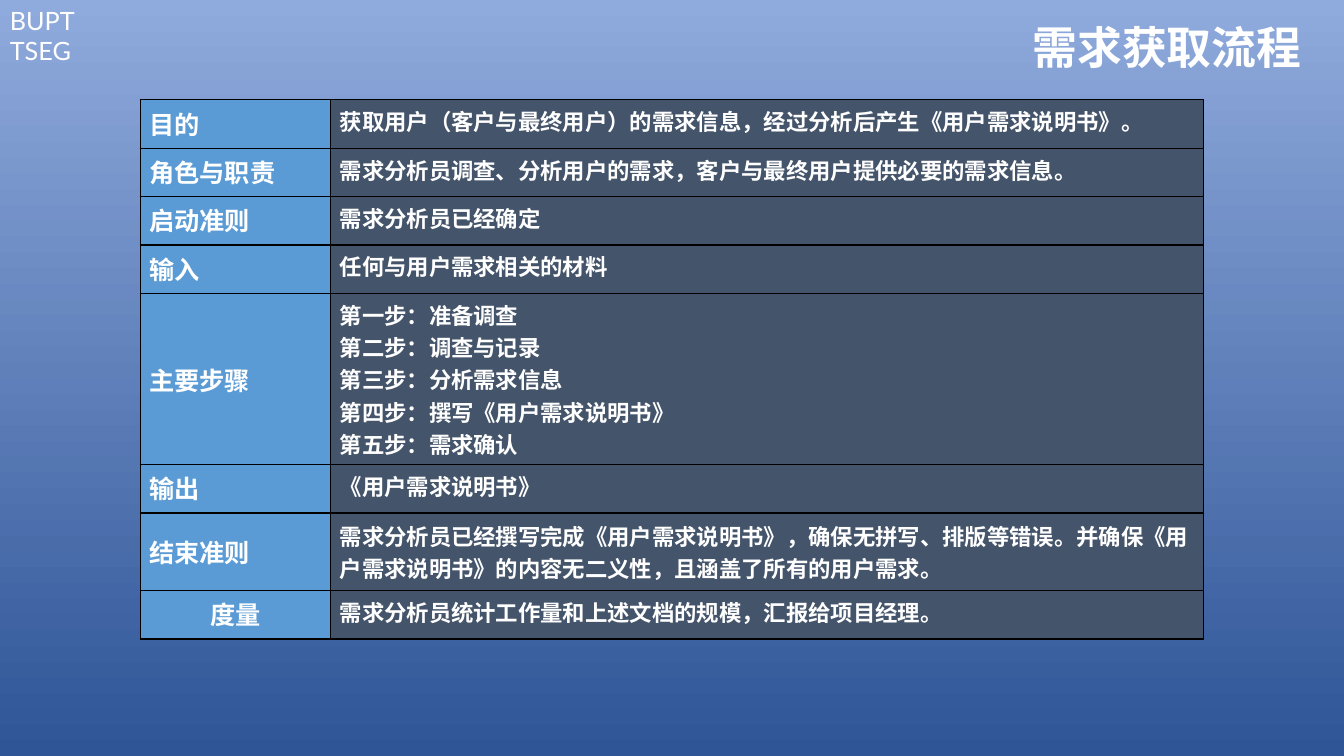
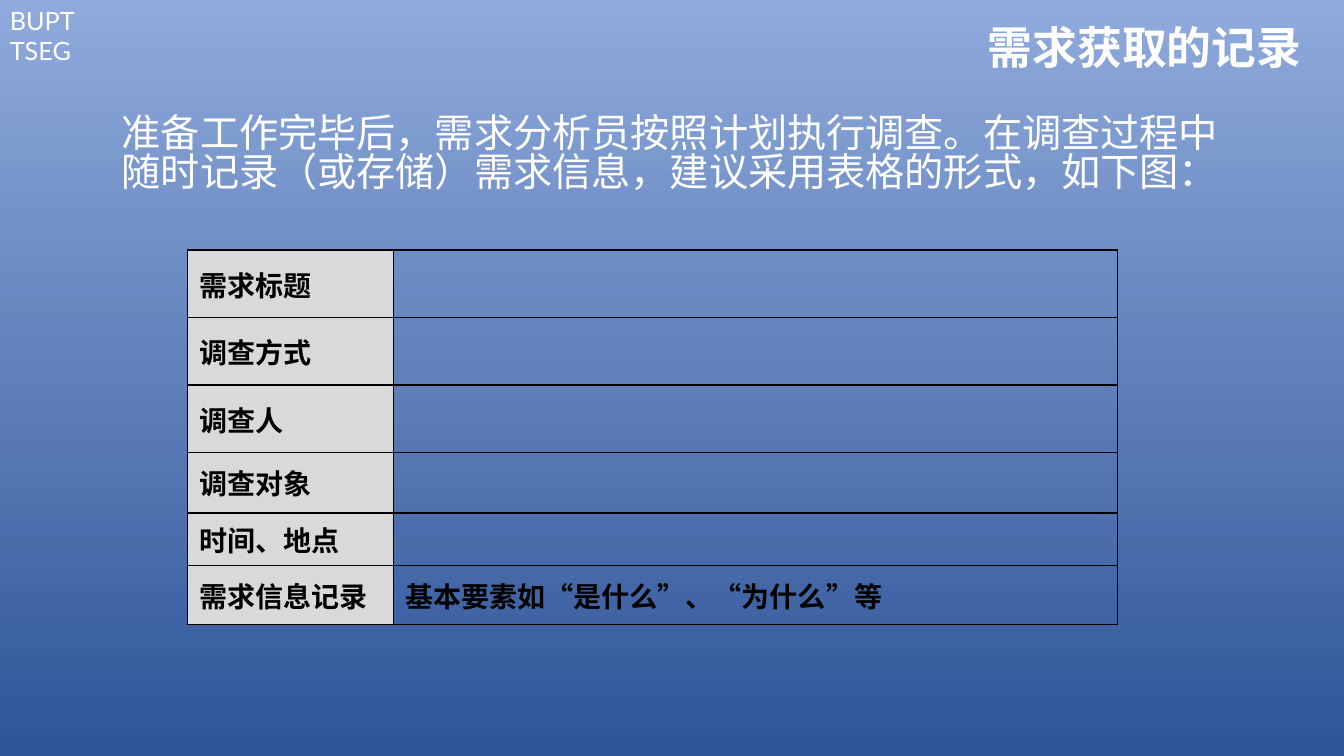
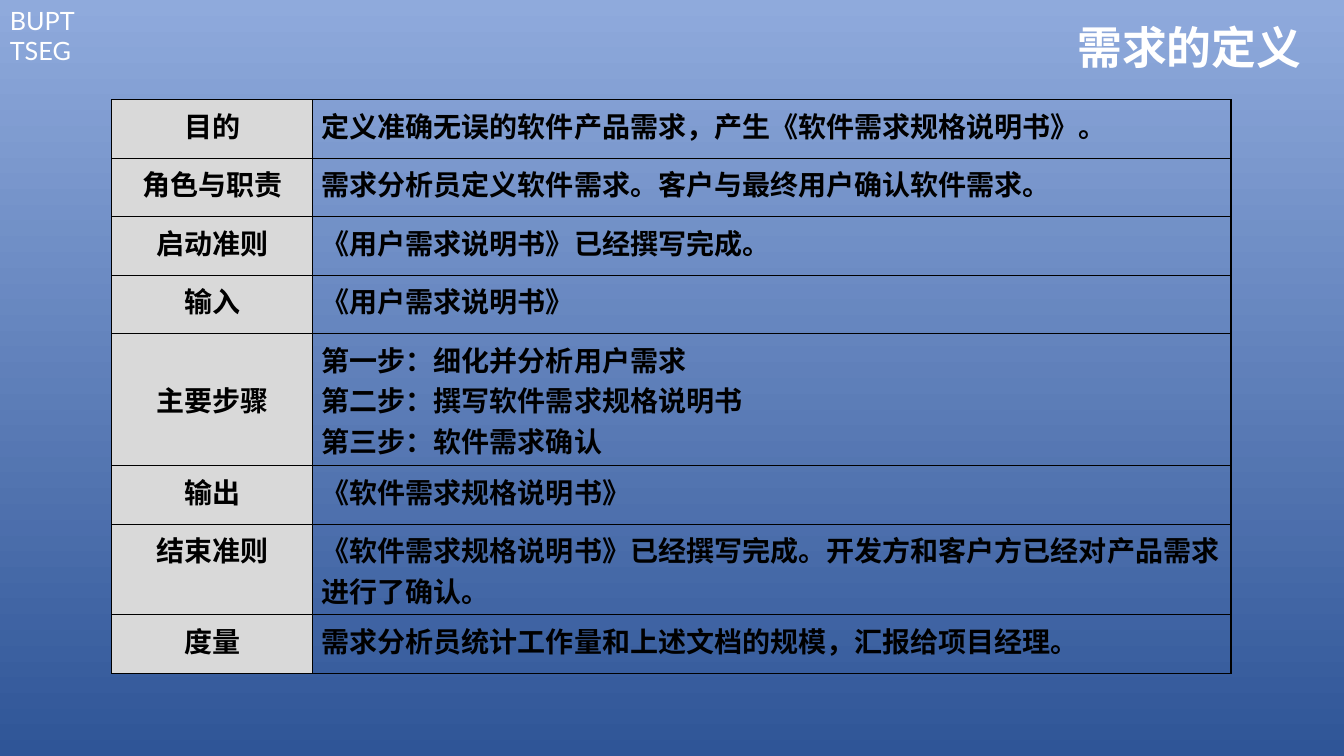
from dataclasses import dataclass

from lxml import etree
from pptx import Presentation
from pptx.dml.color import RGBColor
from pptx.enum.text import MSO_ANCHOR, PP_ALIGN
from pptx.oxml.ns import qn
from pptx.util import Inches, Pt

LEFT, CENTER, RIGHT = PP_ALIGN.LEFT, PP_ALIGN.CENTER, PP_ALIGN.RIGHT
TOP, MIDDLE = MSO_ANCHOR.TOP, MSO_ANCHOR.MIDDLE

WHITE = RGBColor(0xFF, 0xFF, 0xFF)
BLACK = RGBColor(0x00, 0x00, 0x00)
SKY = RGBColor(0x8F, 0xAA, 0xDC)
NAVY = RGBColor(0x2F, 0x55, 0x97)
BLUE = RGBColor(0x5B, 0x9B, 0xD5)
SLATE = RGBColor(0x44, 0x54, 0x6A)
GREY = RGBColor(0xD9, 0xD9, 0xD9)

LATIN_FONT = "Lato"
CHINESE_FONT = "Noto Sans CJK SC"
TITLE_ONLY_LAYOUT = 5

PROCESS_ROWS = [
    ("目的", "获取用户（客户与最终用户）的需求信息，经过分析后产生《用户需求说明书》。"),
    ("角色与职责", "需求分析员调查、分析用户的需求，客户与最终用户提供必要的需求信息。"),
    ("启动准则", "需求分析员已经确定"),
    ("输入", "任何与用户需求相关的材料"),
    ("主要步骤", "第一步：准备调查\n第二步：调查与记录\n第三步：分析需求信息\n"
             "第四步：撰写《用户需求说明书》\n第五步：需求确认"),
    ("输出", "《用户需求说明书》"),
    ("结束准则", "需求分析员已经撰写完成《用户需求说明书》，确保无拼写、排版等错误。"
             "并确保《用户需求说明书》的内容无二义性，且涵盖了所有的用户需求。"),
    ("度量", "需求分析员统计工作量和上述文档的规模，汇报给项目经理。"),
]
RECORD_ROWS = [
    ("需求标题", ""),
    ("调查方式", ""),
    ("调查人", ""),
    ("调查对象", ""),
    ("时间、地点", ""),
    ("需求信息记录", "基本要素如“是什么”、“为什么”等"),
]
DEFINITION_ROWS = [
    ("目的", "定义准确无误的软件产品需求，产生《软件需求规格说明书》。"),
    ("角色与职责", "需求分析员定义软件需求。客户与最终用户确认软件需求。"),
    ("启动准则", "《用户需求说明书》已经撰写完成。"),
    ("输入", "《用户需求说明书》"),
    ("主要步骤", "第一步：细化并分析用户需求\n第二步：撰写软件需求规格说明书\n第三步：软件需求确认"),
    ("输出", "《软件需求规格说明书》"),
    ("结束准则", "《软件需求规格说明书》已经撰写完成。开发方和客户方已经对产品需求进行了确认。"),
    ("度量", "需求分析员统计工作量和上述文档的规模，汇报给项目经理。"),
]


@dataclass
class TableStyle:
    """Look of a two-column table; a fill of None leaves the cells clear."""
    label_fill: RGBColor = GREY
    content_fill: RGBColor | None = None
    color: RGBColor = BLACK
    label_size: int = 20
    content_size: int = 20
    label_align: PP_ALIGN = LEFT
    side_margin: float = 0.09


def format_text(text_frame, size, color, font=CHINESE_FONT, bold=False,
                align=LEFT, line_spacing=None):
    for paragraph in text_frame.paragraphs:
        paragraph.alignment = align
        paragraph.line_spacing = line_spacing
        for run in paragraph.runs:
            run.font.name = font
            run.font.size = Pt(size)
            run.font.bold = bold
            run.font.color.rgb = color
            east_asian = etree.SubElement(run.font._element, qn("a:ea"))
            east_asian.set("typeface", font)


def add_text(slide, text, left, top, width, height, size, **text_format):
    text_box = slide.shapes.add_textbox(Inches(left), Inches(top),
                                        Inches(width), Inches(height))
    text_frame = text_box.text_frame
    text_frame.word_wrap = True
    text_frame.text = text
    format_text(text_frame, size, WHITE, **text_format)


def set_background(master):
    fill = master.background.fill
    fill.gradient()
    fill.gradient_angle = 270
    for stop, color in zip(fill.gradient_stops, (SKY, NAVY)):
        stop.color.rgb = color


def add_titled_slide(presentation, title_text):
    slide = presentation.slides.add_slide(presentation.slide_layouts[TITLE_ONLY_LAYOUT])
    add_text(slide, "BUPT TSEG", 0, 0, 1.11, 0.71, 18, font=LATIN_FONT)
    title = slide.shapes.title
    title.left, title.top = Inches(1.71), Inches(0.14)
    title.width, title.height = Inches(11.3), Inches(0.71)
    title.text_frame.text = title_text
    title.text_frame.vertical_anchor = MIDDLE
    format_text(title.text_frame, 32, WHITE, bold=True, align=RIGHT, line_spacing=0.9)
    return slide


def add_borders(cell):
    properties = cell._tc.get_or_add_tcPr()
    for index, side in enumerate(("a:lnL", "a:lnR", "a:lnT", "a:lnB")):
        line = etree.Element(qn(side), w=str(Pt(1)))
        solid = etree.SubElement(line, qn("a:solidFill"))
        etree.SubElement(solid, qn("a:srgbClr"), val=str(BLACK))
        properties.insert(index, line)


def format_cell(cell, text, fill, size, align, anchor, style):
    cell.text_frame.text = text
    format_text(cell.text_frame, size, style.color, bold=True, align=align)
    cell.vertical_anchor = anchor
    cell.margin_left = cell.margin_right = Inches(style.side_margin)
    cell.margin_top = cell.margin_bottom = Inches(0.05)
    if fill is None:
        cell.fill.background()
    else:
        cell.fill.solid()
        cell.fill.fore_color.rgb = fill
    add_borders(cell)


def add_label_table(slide, rows, left, top, widths, heights, style, middle_rows):
    """Add a table of label and content; middle_rows are centred vertically."""
    frame = slide.shapes.add_table(len(rows), 2, Inches(left), Inches(top),
                                   Inches(sum(widths)), Inches(sum(heights)))
    table = frame.table
    table.first_row = table.horz_banding = False
    for column, width in zip(table.columns, widths):
        column.width = Inches(width)
    for index, ((label, content), height) in enumerate(zip(rows, heights)):
        table.rows[index].height = Inches(height)
        anchor = MIDDLE if index in middle_rows else TOP
        format_cell(table.cell(index, 0), label, style.label_fill,
                    style.label_size, style.label_align, anchor, style)
        format_cell(table.cell(index, 1), content, style.content_fill,
                    style.content_size, LEFT, anchor, style)
    return table


def add_process_slide(presentation):
    slide = add_titled_slide(presentation, "需求获取流程")
    style = TableStyle(BLUE, SLATE, WHITE, label_size=18, content_size=16)
    heights = [0.48] * 4 + [1.7, 0.48, 0.77, 0.48]
    table = add_label_table(slide, PROCESS_ROWS, 1.39, 0.99, (1.89, 8.66),
                            heights, style, middle_rows=(4, 6))
    measure_label = table.cell(len(PROCESS_ROWS) - 1, 0)
    measure_label.text_frame.paragraphs[0].alignment = CENTER


def add_record_slide(presentation):
    slide = add_titled_slide(presentation, "需求获取的记录")
    heights = [0.67] * 3 + [0.6, 0.52, 0.59]
    add_label_table(slide, RECORD_ROWS, 1.86, 2.48, (2.04, 7.18), heights,
                    TableStyle(side_margin=0.12), middle_rows=range(len(RECORD_ROWS)))
    add_text(slide, "准备工作完毕后，需求分析员按照计划执行调查。在调查过程中随时记录"
             "（或存储）需求信息，建议采用表格的形式，如下图：",
             1.11, 1.1, 11.3, 1.18, 28, line_spacing=0.83)


def add_definition_slide(presentation):
    slide = add_titled_slide(presentation, "需求的定义")
    heights = [0.58] * 4 + [1.31, 0.58, 0.9, 0.58]
    add_label_table(slide, DEFINITION_ROWS, 1.11, 0.99, (1.99, 9.11), heights,
                    TableStyle(label_align=CENTER), middle_rows=(4,))


def main():
    presentation = Presentation()
    presentation.slide_width, presentation.slide_height = Inches(13.33), Inches(7.5)
    set_background(presentation.slide_master)
    add_process_slide(presentation)
    add_record_slide(presentation)
    add_definition_slide(presentation)
    presentation.save("out.pptx")


if __name__ == "__main__":
    main()
